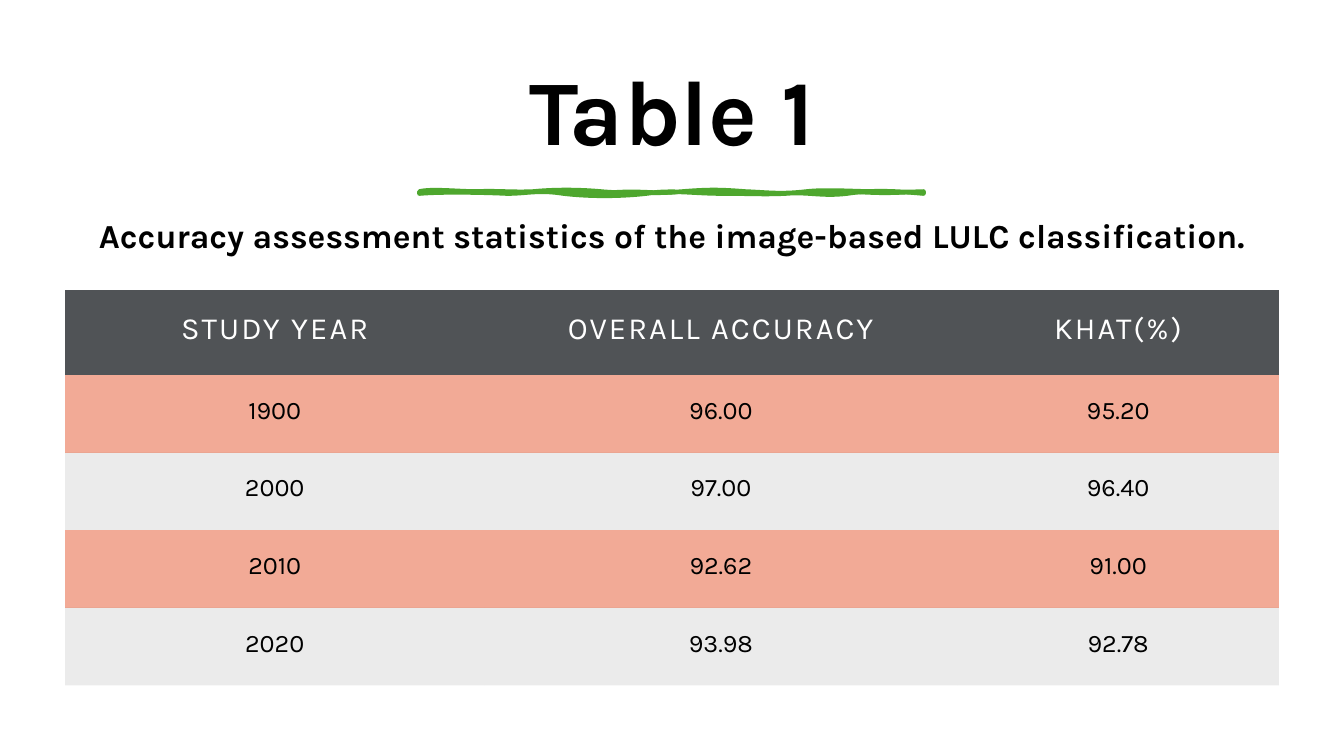
from lxml.etree import SubElement
from pptx import Presentation
from pptx.dml.color import RGBColor
from pptx.enum.text import MSO_ANCHOR, PP_ALIGN
from pptx.oxml import parse_xml
from pptx.oxml.ns import nsdecls, qn
from pptx.util import Inches, Pt

TITLE = "Table 1"
CAPTION = "Accuracy assessment statistics of the image-based LULC classification."
ROWS = [
    ("STUDY YEAR", "OVERALL ACCURACY", "KHAT(%)"),
    ("1900", "96.00", "95.20"),
    ("2000", "97.00", "96.40"),
    ("2010", "92.62", "91.00"),
    ("2020", "93.98", "92.78"),
]
SLIDE_WIDTH, SLIDE_HEIGHT = 13.33, 7.5
COLUMN_WIDTHS = (4.16, 4.69, 3.19)
HEADER_HEIGHT, ROW_HEIGHT = 0.84, 0.77
CELL_MARGIN = Inches(0.21)
TABLE_TOP = 2.88
TEXT_WIDTH = 11.93

FONT = "Karla"
BLACK = RGBColor(0x00, 0x00, 0x00)
WHITE = RGBColor(0xFF, 0xFF, 0xFF)
GREEN = RGBColor(0x4E, 0xA7, 0x2E)
SLATE = RGBColor(0x50, 0x53, 0x56)
SALMON = RGBColor(0xF2, 0xAA, 0x96)
BAND_OPACITY = 8
NO_STYLE = "{2D5ABB26-0587-4C30-8999-92F81FD0307C}"

# Brush stroke: a start point, then three Bezier points per curve.
STROKE_LEFT, STROKE_TOP, STROKE_RIGHT, STROKE_BOTTOM = 4.16, 1.9, 9.16, 1.92
STROKE_OUTLINE = [
    (4.16, 1.9), (4.28, 1.87), (4.54, 1.9), (4.73, 1.9),
    (4.92, 1.89), (5.09, 1.91), (5.29, 1.9), (5.49, 1.88), (5.74, 1.88), (5.96, 1.9),
    (6.17, 1.92), (6.53, 1.92), (6.77, 1.9), (7.02, 1.88), (7.14, 1.88), (7.39, 1.9),
    (7.63, 1.91), (7.74, 1.93), (8, 1.9), (8.26, 1.87), (8.67, 1.92), (9.16, 1.9),
    (9.17, 1.91), (9.16, 1.91), (9.16, 1.92), (8.95, 1.9), (8.65, 1.88), (8.4, 1.92),
    (8.15, 1.95), (8.01, 1.9), (7.79, 1.92), (7.56, 1.93), (7.47, 1.92), (7.17, 1.92),
    (6.87, 1.92), (6.67, 1.88), (6.41, 1.92), (6.14, 1.95), (5.85, 1.95), (5.59, 1.92),
    (5.34, 1.88), (5.23, 1.92), (5.03, 1.92), (4.83, 1.91), (4.38, 1.9), (4.16, 1.92),
    (4.16, 1.91), (4.16, 1.9), (4.16, 1.9),
]
STROKE_BODY = [
    (4.16, 1.9), (4.32, 1.89), (4.52, 1.88), (4.78, 1.9),
    (5.03, 1.91), (5.08, 1.92), (5.34, 1.9), (5.6, 1.88), (5.74, 1.92), (5.96, 1.9),
    (6.18, 1.87), (6.39, 1.88), (6.67, 1.9), (6.95, 1.91), (7.24, 1.87), (7.44, 1.9),
    (7.63, 1.92), (8.02, 1.88), (8.25, 1.9), (8.48, 1.91), (8.72, 1.93), (9.16, 1.9),
    (9.16, 1.9), (9.16, 1.91), (9.16, 1.92), (8.79, 1.94), (8.76, 1.94), (8.4, 1.92),
    (8.04, 1.89), (7.96, 1.91), (7.59, 1.92), (7.21, 1.92), (7.16, 1.88), (6.77, 1.92),
    (6.39, 1.96), (6.37, 1.9), (6.21, 1.92), (6.04, 1.93), (5.72, 1.93), (5.44, 1.92),
    (5.17, 1.9), (5.04, 1.91), (4.78, 1.92), (4.52, 1.92), (4.41, 1.89), (4.16, 1.92),
    (4.16, 1.91), (4.16, 1.9), (4.16, 1.9),
]


def write(frame, text, size, color, bold=False):
    frame.text = text
    para = frame.paragraphs[0]
    para.alignment = PP_ALIGN.CENTER
    span = para.runs[0]
    span.font.name, span.font.size, span.font.bold = FONT, Pt(size), bold
    span.font.color.rgb = color
    return para


def add_heading(page, text, top, height, size):
    left = (SLIDE_WIDTH - TEXT_WIDTH) / 2
    box = page.shapes.add_textbox(Inches(left), Inches(top),
                                  Inches(TEXT_WIDTH), Inches(height))
    box.text_frame.word_wrap = True
    box.text_frame.vertical_anchor = MSO_ANCHOR.MIDDLE
    para = write(box.text_frame, text, size, BLACK, bold=True)
    para.line_spacing = 0.9
    return para


def add_curves(path_list, points, size, **paint):
    """Add a closed path of cubic Bezier curves to a custom geometry."""
    outline = SubElement(path_list, qn("a:path"), **size, **paint)
    groups = [("a:moveTo", points[:1])]
    groups += [("a:cubicBezTo", points[i:i + 3]) for i in range(1, len(points), 3)]
    for tag, group in groups:
        command = SubElement(outline, qn(tag))
        for x, y in group:
            SubElement(command, qn("a:pt"), x=str(Inches(x - STROKE_LEFT)),
                       y=str(Inches(y - STROKE_TOP)))
    SubElement(outline, qn("a:close"))


def add_brush_stroke(page):
    left, top, right, bottom = map(
        Inches, (STROKE_LEFT, STROKE_TOP, STROKE_RIGHT, STROKE_BOTTOM))
    builder = page.shapes.build_freeform(left, top)
    builder.add_line_segments([(right, top), (right, bottom), (left, bottom)])
    stroke = builder.convert_to_shape()
    path_list = next(stroke.element.iter(qn("a:pathLst")))
    path_list.clear()
    size = {"w": str(right - left), "h": str(bottom - top)}
    add_curves(path_list, STROKE_OUTLINE, size, fill="none")
    add_curves(path_list, STROKE_BODY, size, stroke="0")
    stroke.shadow.inherit = False
    stroke.fill.solid()
    stroke.fill.fore_color.rgb = GREEN
    stroke.line.color.rgb = GREEN
    stroke.line.width = Pt(3.25)


def fill_cell(cell, row):
    """Slate header, clear odd rows, and a faint dark veil on even rows."""
    if row % 2:
        cell.fill.background()
        return
    cell.fill.solid()
    cell.fill.fore_color.rgb = BLACK if row else SLATE
    if row:
        color = next(cell._tc.tcPr.iter(qn("a:srgbClr")))
        SubElement(color, qn("a:alpha"), val=str(BAND_OPACITY * 1000))


def add_accuracy_table(page):
    width = sum(COLUMN_WIDTHS)
    height = HEADER_HEIGHT + ROW_HEIGHT * (len(ROWS) - 1)
    frame = page.shapes.add_table(len(ROWS), len(COLUMN_WIDTHS),
                                  Inches((SLIDE_WIDTH - width) / 2), Inches(TABLE_TOP),
                                  Inches(width), Inches(height))
    table = frame.table
    table.first_row = table.horz_banding = False
    style = next(frame.element.iter(qn("a:tableStyleId")))
    style.text = NO_STYLE
    style.addprevious(parse_xml(
        f'<a:solidFill {nsdecls("a")}><a:srgbClr val="{SALMON}"/></a:solidFill>'))
    for column, column_width in zip(table.columns, COLUMN_WIDTHS):
        column.width = Inches(column_width)
    for r, values in enumerate(ROWS):
        header = r == 0
        table.rows[r].height = Inches(HEADER_HEIGHT if header else ROW_HEIGHT)
        for c, value in enumerate(values):
            cell = table.cell(r, c)
            cell.margin_left = cell.margin_right = CELL_MARGIN
            cell.margin_top = cell.margin_bottom = CELL_MARGIN
            fill_cell(cell, r)
            para = write(cell.text_frame, value, 22 if header else 18,
                         WHITE if header else BLACK)
            if header:
                para.runs[0].font._element.set("spc", "150")


def main():
    deck = Presentation()
    deck.slide_width, deck.slide_height = Inches(SLIDE_WIDTH), Inches(SLIDE_HEIGHT)
    page = deck.slides.add_slide(deck.slide_layouts[6])
    add_heading(page, TITLE, 0.46, 1.37, 66)
    caption = add_heading(page, CAPTION, 1.98, 0.75, 24)
    caption.space_before = Pt(10)
    add_brush_stroke(page)
    add_accuracy_table(page)
    deck.save("out.pptx")


if __name__ == "__main__":
    main()
